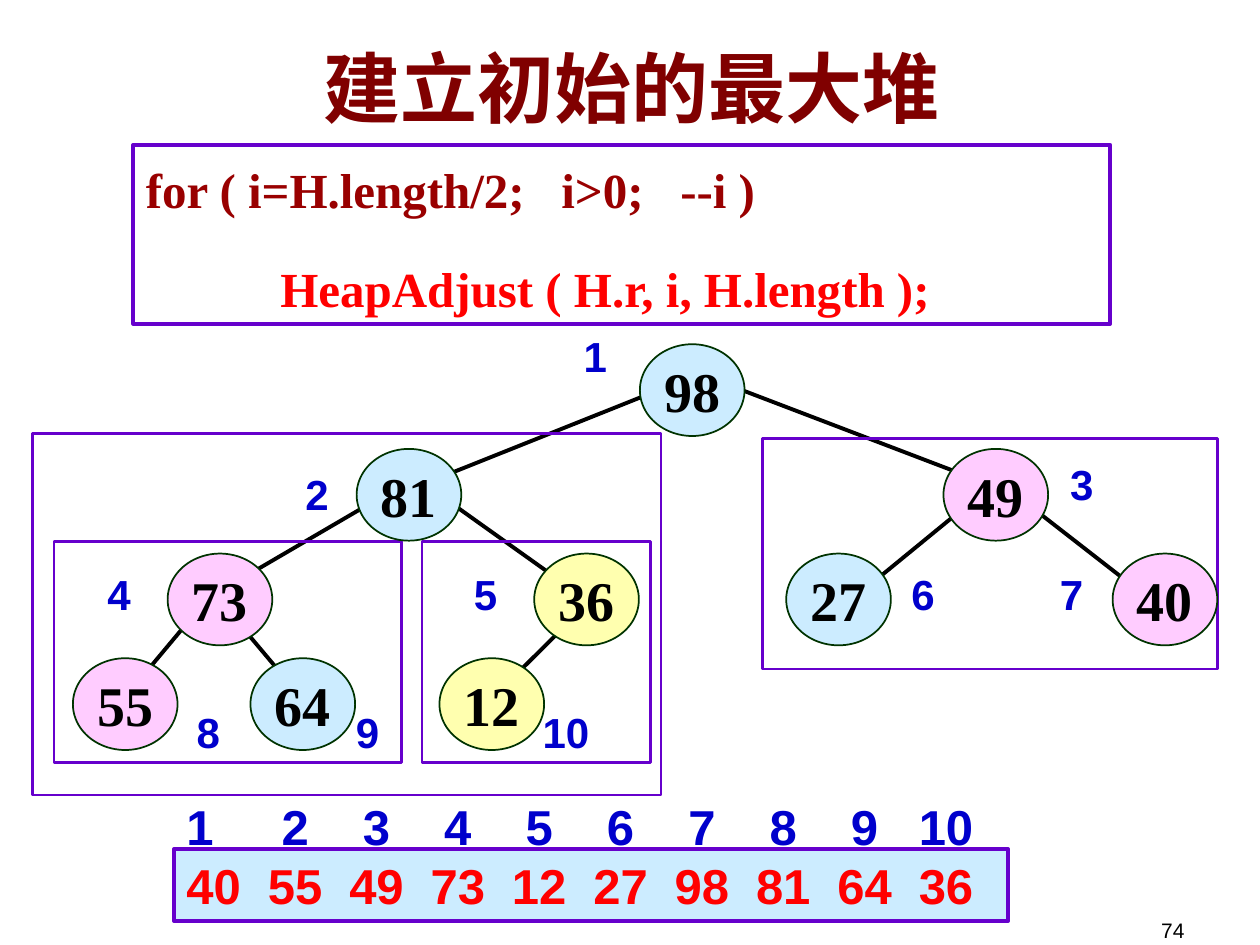
from pptx import Presentation
from pptx.dml.color import RGBColor
from pptx.enum.shapes import MSO_CONNECTOR, MSO_SHAPE
from pptx.enum.text import MSO_ANCHOR, PP_ALIGN
from pptx.oxml.ns import qn
from pptx.util import Cm, Pt
from lxml import etree

OVAL, RECT = MSO_SHAPE.OVAL, MSO_SHAPE.RECTANGLE
STRAIGHT = MSO_CONNECTOR.STRAIGHT
LEFT, CENTER, RIGHT = PP_ALIGN.LEFT, PP_ALIGN.CENTER, PP_ALIGN.RIGHT
TOP, MIDDLE, BOTTOM = MSO_ANCHOR.TOP, MSO_ANCHOR.MIDDLE, MSO_ANCHOR.BOTTOM
SERIF, SANS = "Times New Roman", "Arial"
PURPLE, BLUE, RED, BLACK = "6600CC", "0000CC", "FF0000", "000000"
SKY, PINK, YELLOW = "CCECFF", "FFCCFF", "FFFFAF"

NODE_W, NODE_H, LEVEL_TOP, LEVEL_STEP = 2.11, 1.85, 0.41, 2.11
# value, fill, node left, label left, label top; listed in heap order
NODES = [
    ("98", SKY, 12.24, 10.64, 0),
    ("81", SKY, 6.53, 5.03, 2.79),
    ("49", PINK, 18.36, 20.45, 2.59),
    ("73", PINK, 2.72, 1.04, 4.8),
    ("36", YELLOW, 10.11, 8.43, 4.8),
    ("27", SKY, 15.19, 17.25, 4.8),
    ("40", PINK, 21.77, 20.24, 4.8),
    ("55", PINK, 0.81, 2.84, 7.59),
    ("64", SKY, 4.39, 6.05, 7.59),
    ("12", YELLOW, 8.2, 10.03, 7.59),
]
EDGES = [
    (12.98, 1.19, 7.37, 3.43),
    (13.92, 1.19, 19.79, 3.43),
    (7.04, 3.48, 3.43, 5.59),
    (8, 3.3, 11.28, 5.64),
    (19.05, 3.48, 16.23, 5.79),
    (19.86, 3.48, 22.83, 5.79),
    (3.63, 5.41, 1.63, 7.8),
    (3.63, 5.41, 5.64, 7.8),
    (11.23, 5.59, 9.22, 7.59),
]
FRAMES = [
    (7.85, 4.39, 4.6, 4.45),
    (0.43, 4.39, 7.01, 4.45),
    (14.71, 2.31, 9.17, 4.65),
    (0, 2.21, 12.67, 7.29),
]
ARRAY = ["40", "55", "49", "73", "12", "27", "98", "81", "64", "36"]
CELL_PITCH, CELL_CENTER = 1.64, 0.55


def rgb(color):
    """Turn a hex string into a colour."""
    return RGBColor.from_string(color)


def add_shape(s, kind, box, fill, line, width):
    """Add an outlined preset shape, filled if a fill is given."""
    sp = s.shapes.add_shape(kind, *map(Cm, box))
    sp.shadow.inherit = False
    if fill:
        sp.fill.solid()
        sp.fill.fore_color.rgb = rgb(fill)
    else:
        sp.fill.background()
    sp.line.color.rgb = rgb(line)
    sp.line.width = Pt(width)
    return sp


def set_font(p, size, color, name, bold=True):
    """Set the font of a paragraph."""
    p.font.size, p.font.name, p.font.bold = Pt(size), name, bold
    p.font.color.rgb = rgb(color)


def write(sp, text, size, color, name, align=CENTER, anchor=TOP, bold=True):
    """Write one paragraph into a shape."""
    tf = sp.text_frame
    tf.word_wrap, tf.vertical_anchor = True, anchor
    p = tf.paragraphs[0]
    p.text, p.alignment = text, align
    set_font(p, size, color, name, bold)


def add_text(s, box, *args, **kwargs):
    """Add a text box holding one paragraph."""
    write(s.shapes.add_textbox(*map(Cm, box)), *args, **kwargs)


def add_code(s, box):
    """Add the framed loop that builds the heap."""
    sp = add_shape(s, RECT, box, None, PURPLE, 2.25)
    tf = sp.text_frame
    tf.word_wrap, tf.vertical_anchor = True, TOP
    lines = [("for ( i=H.length/2;   i>0;   --i )", "990000"),
             ("           HeapAdjust ( H.r, i, H.length );", RED)]
    for i, (text, color) in enumerate(lines):
        p = tf.add_paragraph() if i else tf.paragraphs[0]
        p.text, p.alignment, p.line_spacing = text, LEFT, 1.15
        p.space_before = Pt(17.5 if i else 0)
        set_font(p, 28, color, SERIF)


def add_tree(s, left, top):
    """Add the heap tree with its edges, subtree frames, nodes and numbers."""
    for x1, y1, x2, y2 in EDGES:
        c = s.shapes.add_connector(STRAIGHT, Cm(left + x1), Cm(top + y1),
                                   Cm(left + x2), Cm(top + y2))
        c.line.color.rgb = rgb(BLACK)
        c.line.width = Pt(2.25)
        etree.SubElement(c._element.spPr, qn("a:effectLst"))
    for x, y, w, h in FRAMES:
        add_shape(s, RECT, (left + x, top + y, w, h), None, PURPLE, 1.5)
    for i, (value, fill, x, label_x, label_y) in enumerate(NODES, 1):
        y = LEVEL_TOP + LEVEL_STEP * (i.bit_length() - 1)
        sp = add_shape(s, OVAL, (left + x, top + y, NODE_W, NODE_H), fill, "003300", 1)
        write(sp, value, 32, BLACK, SERIF, anchor=MIDDLE)
        sp.text_frame.word_wrap = False
        wide = i > 9
        add_text(s, (left + label_x, top + label_y, 3.2 if wide else 1.4, 1.27),
                 str(i), 24, BLUE, SANS, LEFT if wide else CENTER)


def add_cells(sp, values, color):
    """Write values into a shape, each centred on its array cell."""
    p = sp.text_frame.paragraphs[0]
    tabs = etree.SubElement(p._p.get_or_add_pPr(), qn("a:tabLst"))
    for i in range(1, len(values)):
        pos = Cm(CELL_CENTER + CELL_PITCH * i)
        etree.SubElement(tabs, qn("a:tab"), pos=str(int(pos)), algn="ctr")
    write(sp, "\t".join(values), 28, color, SANS, LEFT)


def add_array(s, left, top, width, height):
    """Add the array of values below its row of indices."""
    row = 1.45
    sp = add_shape(s, RECT, (left, top + height - row, width, row), SKY, PURPLE, 2.25)
    add_cells(sp, ARRAY, RED)
    sp = s.shapes.add_textbox(Cm(left), Cm(top), Cm(width), Cm(row))
    add_cells(sp, [str(i) for i in range(1, len(ARRAY) + 1)], BLUE)


def main():
    """Build the slide and save it."""
    prs = Presentation()
    prs.slide_width, prs.slide_height = Cm(25.4), Cm(19.05)
    s = prs.slides.add_slide(prs.slide_layouts[6])
    add_text(s, (18.21, 17.86, 5.92, 1.27), "74", 12, BLACK, SANS,
             RIGHT, BOTTOM, False)
    add_text(s, (1.3, 0.33, 22.86, 2.84), "建立初始的最大堆", 44, "800000", SERIF,
             anchor=MIDDLE)
    add_code(s, (2.69, 2.92, 19.69, 3.61))
    add_tree(s, 0.66, 6.53)
    add_array(s, 3.51, 15.93, 16.81, 2.64)
    prs.save("out.pptx")


if __name__ == "__main__":
    main()
